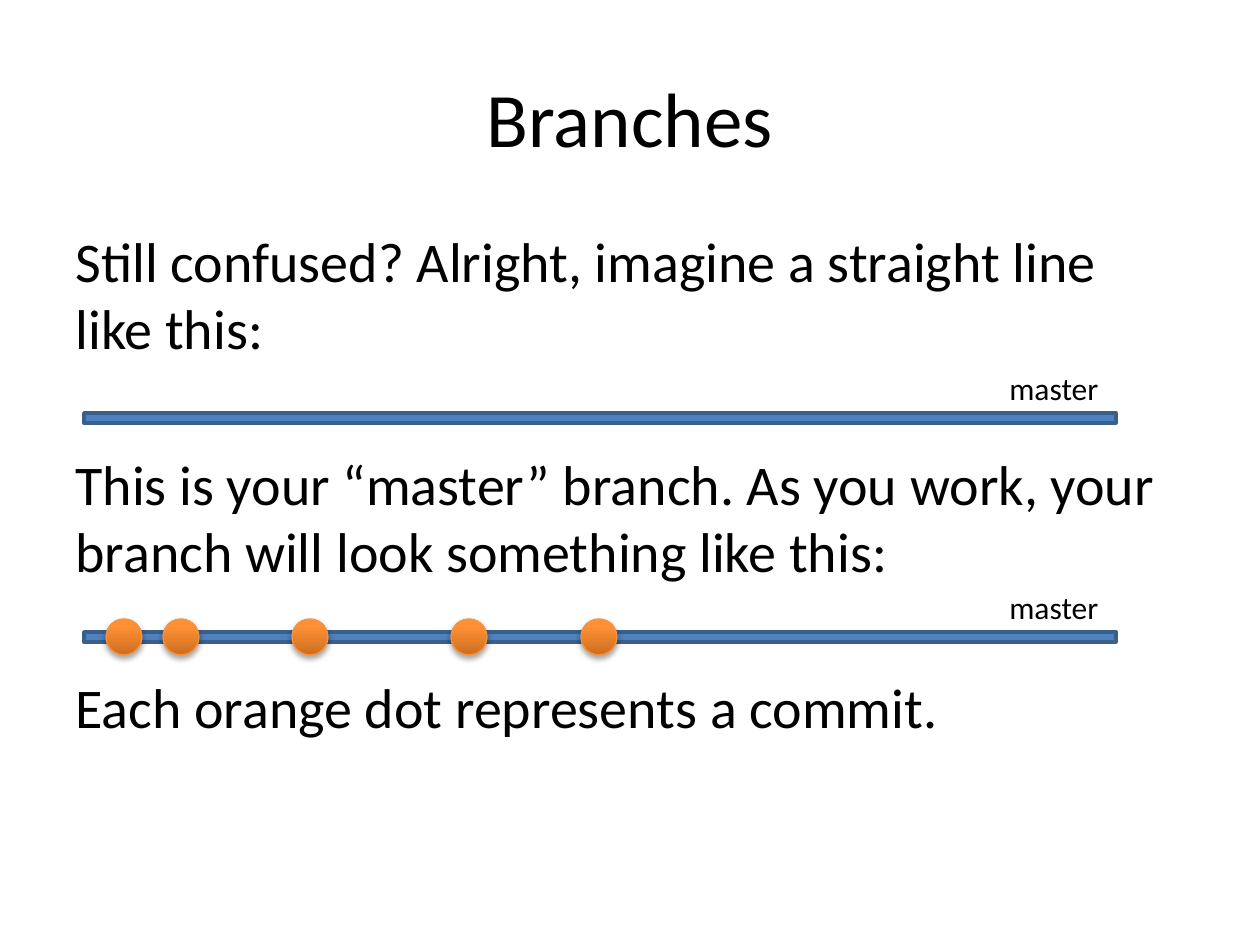
import pptx
import pptx.dml.color
import pptx.enum.shapes
import pptx.enum.text
import pptx.util
from lxml import etree
from pptx.oxml.ns import qn

PX = 914400 / 126
FONT = "Calibri"
BLACK = pptx.dml.color.RGBColor(0x00, 0x00, 0x00)
BRANCH_BLUE = pptx.dml.color.RGBColor(0x4F, 0x81, 0xBD)
BRANCH_EDGE = pptx.dml.color.RGBColor(0x3A, 0x5F, 0x8C)
DOT_DARK = pptx.dml.color.RGBColor(0xCC, 0x6E, 0x20)
DOT_LIGHT = pptx.dml.color.RGBColor(0xFF, 0x90, 0x34)
DOT_EDGE = pptx.dml.color.RGBColor(0xF6, 0x92, 0x40)

PARAGRAPHS = [
    "Still confused? Alright, imagine a straight line like this:",
    "This is your “master” branch. As you work, your branch will look something like this:",
    "Each orange dot represents a commit.",
]
PARAGRAPH_GAP = 50.7
COMMIT_LEFTS = [106, 163, 292, 451, 581]


def box(left, top, width, height):
    return [pptx.util.Emu(round(value * PX)) for value in (left, top, width, height)]


def add_run(paragraph, text, size):
    run = paragraph.add_run()
    run.text = text
    run.font.name = FONT
    run.font.size = pptx.util.Pt(size)
    run.font.color.rgb = BLACK


def set_title(slide, text):
    title = slide.shapes.title
    title.left, title.top, title.width, title.height = box(63, 38, 1134, 157)
    title.text_frame.vertical_anchor = pptx.enum.text.MSO_ANCHOR.MIDDLE
    paragraph = title.text_frame.paragraphs[0]
    paragraph.alignment = pptx.enum.text.PP_ALIGN.CENTER
    add_run(paragraph, text, 44)


def add_body(slide, texts):
    """Leave a gap between paragraphs that is wide enough for a branch."""
    frame = slide.shapes.add_textbox(*box(63, 220, 1134, 624)).text_frame
    frame.word_wrap = True
    for index, text in enumerate(texts):
        paragraph = frame.add_paragraph() if index else frame.paragraphs[0]
        paragraph.space_before = pptx.util.Pt(PARAGRAPH_GAP if index else 0)
        add_run(paragraph, text, 32)


def add_soft_shadow(shape):
    effects = shape._element.spPr.find(qn("a:effectLst"))
    shadow = etree.SubElement(effects, qn("a:outerShdw"), blurRad="40000",
                              dist="23000", dir="5400000", rotWithShape="0")
    color = etree.SubElement(shadow, qn("a:srgbClr"), val=str(BLACK))
    etree.SubElement(color, qn("a:alpha"), val="35000")


def add_commit(group, left, top):
    dot = group.shapes.add_shape(pptx.enum.shapes.MSO_SHAPE.OVAL, *box(left, top, 36, 36))
    dot.fill.gradient()
    dot.fill.gradient_angle = 90
    for stop, position, color in zip(dot.fill.gradient_stops, (0, 0.8), (DOT_DARK, DOT_LIGHT)):
        stop.position = position
        stop.color.rgb = color
    dot.line.color.rgb = DOT_EDGE
    dot.line.width = pptx.util.Pt(0.75)
    dot.shadow.inherit = False
    add_soft_shadow(dot)


def add_branch(slide, top, commit_lefts=()):
    group = slide.shapes.add_group_shape()
    bar = group.shapes.add_shape(pptx.enum.shapes.MSO_SHAPE.RECTANGLE, *box(84, top, 1032, 10))
    bar.fill.solid()
    bar.fill.fore_color.rgb = BRANCH_BLUE
    bar.line.color.rgb = BRANCH_EDGE
    bar.line.width = pptx.util.Pt(2)
    bar.shadow.inherit = False

    label = group.shapes.add_textbox(*box(997, top - 50, 116, 50))
    label.text_frame.word_wrap = False
    add_run(label.text_frame.paragraphs[0], "master", 18)

    for left in commit_lefts:
        add_commit(group, left, top - 13)


def main():
    presentation = pptx.Presentation()
    presentation.slide_width = pptx.util.Inches(10)
    presentation.slide_height = pptx.util.Inches(7.5)
    slide = presentation.slides.add_slide(presentation.slide_layouts[5])
    set_title(slide, "Branches")
    add_body(slide, PARAGRAPHS)
    add_branch(slide, 413)
    add_branch(slide, 632, COMMIT_LEFTS)
    presentation.save("out.pptx")


if __name__ == "__main__":
    main()
